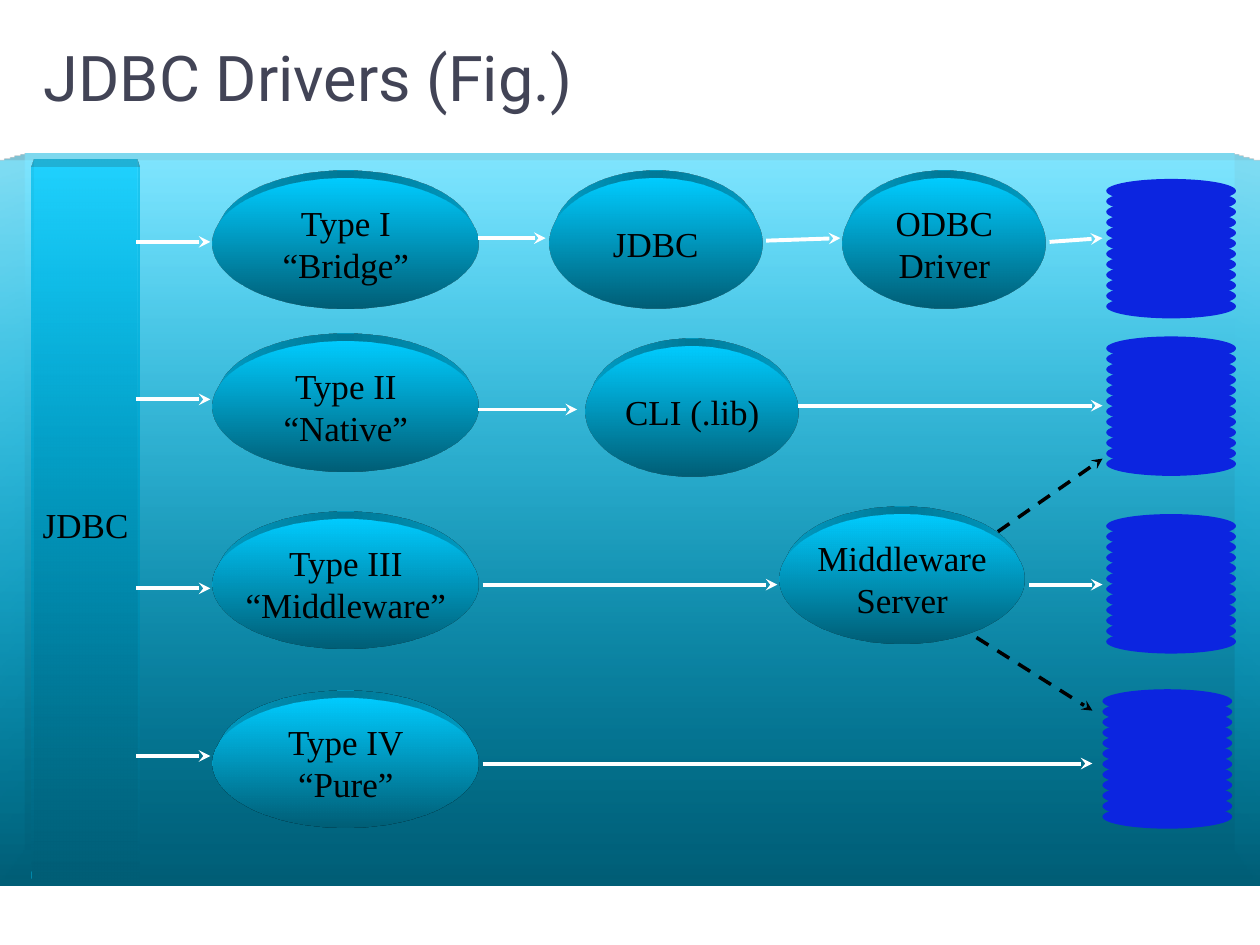
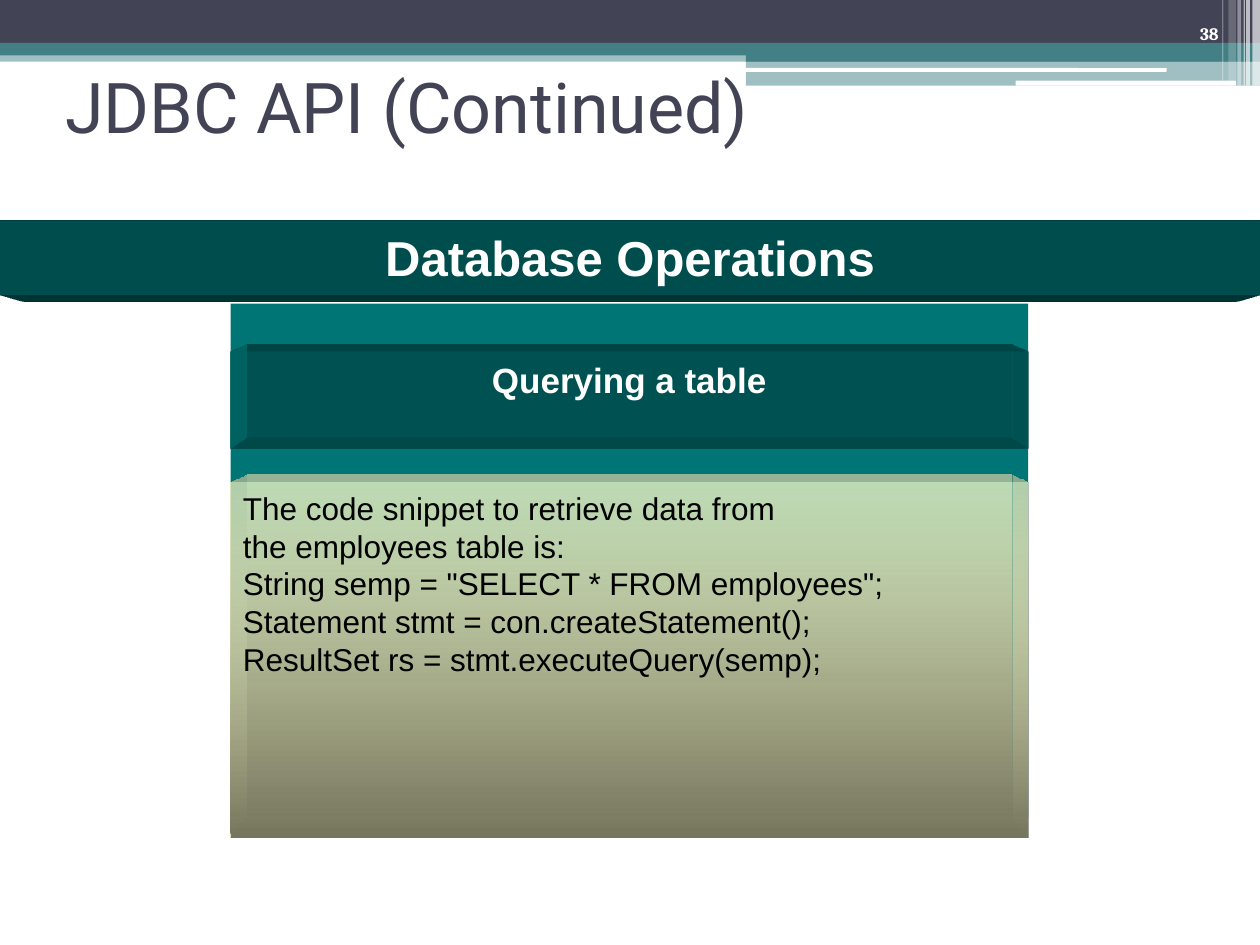
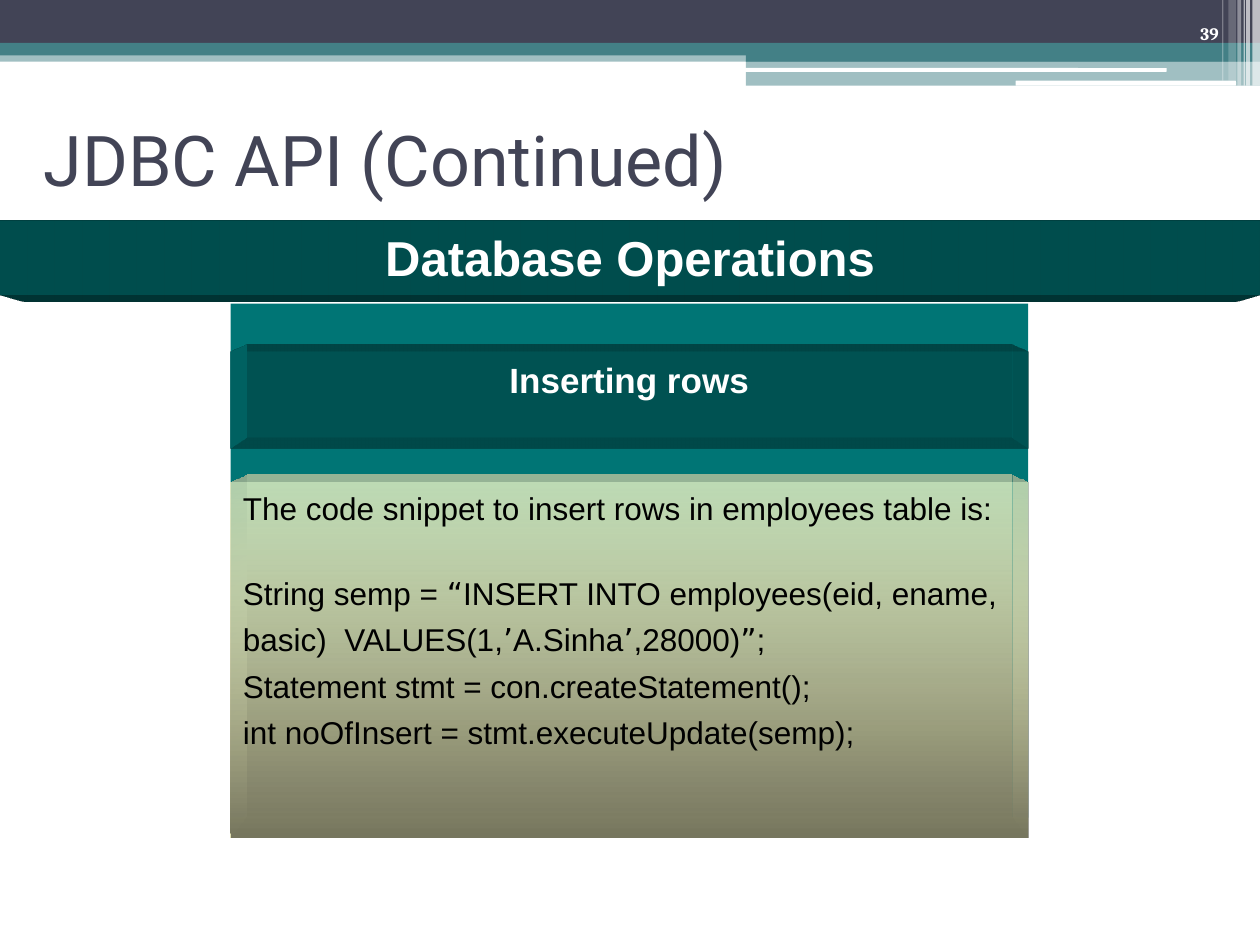
from itertools import groupby

from lxml.etree import SubElement as Sub
from pptx import Presentation
from pptx.dml.color import RGBColor
from pptx.enum.dml import MSO_LINE as Dash
from pptx.enum.shapes import MSO_CONNECTOR as Link, MSO_SHAPE as Kind
from pptx.enum.text import MSO_ANCHOR as Anchor, PP_ALIGN as Align
from pptx.oxml import parse_xml
from pptx.oxml.ns import nsdecls, qn
from pptx.util import Inches, Pt

WIDTH, HEIGHT = Inches(10), Inches(7.5)
COL, ROW = WIDTH / 10, HEIGHT / 7.5
INK, TEAL, SEA, DEEP = "424456", "438086", "009999", "005E76"
SKY, DISC, WHITE, BLACK = "00CCFF", "0C25E0", "FFFFFF", "000000"
QUOTES = "\u201c\u201d\u2019"


def tint(text):
    """Turn a hex string into a colour."""
    return RGBColor.from_string(text)


def fade(node, share):
    """Give a colour node an opacity in percent."""
    if share < 100:
        Sub(node, qn("a:alpha"), val=str(share * 1000))


def paint(shape, hues, share=100):
    """Fill a shape with one hue, or with a pair from top to bottom."""
    fill = shape.fill
    if isinstance(hues, str):
        fill.solid()
        fill.fore_color.rgb = tint(hues)
    else:
        fill.gradient()
        fill.gradient_angle = 270
        for stop, hue, place in zip(fill.gradient_stops, hues, (0, 1)):
            stop.color.rgb = tint(hue)
            stop.position = place
    fade(next(shape._element.spPr.iter(qn("a:srgbClr"))), share)


def raise_up(shape, side, light, hue):
    """Extrude a shape toward one side."""
    spaces = nsdecls("a")
    props = shape._element.spPr
    props.append(parse_xml(
        f'<a:scene3d {spaces}><a:camera prst="legacyPerspective{side}"/>'
        f'<a:lightRig rig="{light}" dir="b"/></a:scene3d>'))
    props.append(parse_xml(
        f'<a:sp3d {spaces} extrusionH="430200" prstMaterial="legacyMatte">'
        '<a:bevelT w="13500" h="13500" prst="angle"/>'
        '<a:bevelB w="13500" h="13500" prst="angle"/>'
        f'<a:extrusionClr><a:srgbClr val="{hue}"/></a:extrusionClr></a:sp3d>'))


def form(slide, kind, place, hues, share=100):
    """Add a preset shape without outline or shadow."""
    x, y, w, h = place
    shape = slide.shapes.add_shape(
        kind, int(x * COL), int(y * ROW), int(w * COL), int(h * ROW))
    shape.shadow.inherit = False
    shape.line.fill.background()
    paint(shape, hues, share)
    return shape


def write(shape, lines, face, size, hue, align=Align.CENTER,
          anchor=Anchor.MIDDLE, bold=False, wrap=False, gaps=()):
    """Set lines of text, with quote marks in their own face if gaps are given."""
    frame = shape.text_frame
    frame.word_wrap, frame.vertical_anchor = wrap, anchor
    for i, line in enumerate(lines):
        para = frame.paragraphs[0] if i == 0 else frame.add_paragraph()
        para.alignment = align
        font = para.font
        font.name, font.size, font.bold = face, Pt(size), bold
        font.color.rgb = tint(hue)
        if gaps:
            para.space_before = Pt(gaps[i])
            for mark, part in groupby(line, lambda sign: sign in QUOTES):
                run = para.add_run()
                run.text = "".join(part)
                run.font.name = "DejaVu Sans" if mark else face
        else:
            para.add_run().text = line


def label(slide, place, text, *style, **more):
    """Add a text box with one line."""
    x, y, w, h = place
    box = slide.shapes.add_textbox(
        int(x * COL), int(y * ROW), int(w * COL), int(h * ROW))
    write(box, [text], *style, wrap=True, **more)


def title(slide, place, text, size):
    """Add the slide title."""
    label(slide, place, text, "Roboto", size, INK, align=Align.LEFT)


def arrow(slide, start, end, hue=WHITE, dashed=False):
    """Add a line with a stealth head."""
    (a, b), (c, d) = start, end
    line = slide.shapes.add_connector(
        Link.STRAIGHT, int(a * COL), int(b * ROW), int(c * COL), int(d * ROW))
    line.line.color.rgb = tint(hue)
    line.line.width = Pt(2 if dashed else 2.25)
    if dashed:
        line.line.dash_style = Dash.DASH
    Sub(line.line._get_or_add_ln(), qn("a:tailEnd"), type="stealth")
    Sub(line._element.spPr, qn("a:effectLst"))


def store(slide, x, top):
    """Stack twelve discs into a database."""
    for i in reversed(range(12)):
        form(slide, Kind.OVAL, (x, top + i / 12, 1.03, 0.19), DISC)


def node(slide, x, y, w, *lines):
    """Add a raised oval with a name."""
    oval = form(slide, Kind.OVAL, (x, y, w, 1.03), (SKY, DEEP))
    raise_up(oval, "Top", "legacyFlat3", SKY)
    write(oval, lines, "Times New Roman", 20, BLACK)


def drivers(slide):
    """Draw the figure of the four driver types."""
    title(slide, (0.25, 0.33, 9.02, 0.55), "JDBC Drivers (Fig.)", 36)
    back = form(slide, Kind.RECTANGLE, (0, 1.28, 10, 5.75), (SKY, DEEP), 30)
    side = form(slide, Kind.RECTANGLE, (0.25, 1.33, 0.86, 5.67), (SKY, DEEP), 50)
    for panel in (back, side):
        raise_up(panel, "Top", "legacyFlat3", SKY)
    write(side, ["JDBC"], "Times New Roman", 20, BLACK)
    for x, top in ((8.78, 1.42), (8.78, 2.67), (8.78, 4.08), (8.75, 5.47)):
        store(slide, x, top)
    kinds = (("I", "Bridge", 1.42, 1.92), ("II", "Native", 2.71, 3.17),
             ("III", "Middleware", 4.12, 4.67), ("IV", "Pure", 5.54, 6))
    for count, name, top, level in kinds:
        node(slide, 1.69, top, 2.11, f"Type {count}", f"\u201c{name}\u201d")
        arrow(slide, (1.08, level), (1.67, level))
    node(slide, 4.36, 1.42, 1.69, "JDBC")
    node(slide, 6.69, 1.42, 1.61, "ODBC", "Driver")
    node(slide, 4.65, 2.75, 1.69, "CLI (.lib)")
    node(slide, 6.19, 4.08, 1.94, "Middleware", "Server")
    for x, end, level in ((3.79, 4.33, 1.89), (3.79, 4.58, 3.25),
                          (6.33, 8.75, 3.22), (3.83, 6.17, 4.64),
                          (8.17, 8.75, 4.64), (3.83, 8.67, 6.06)):
        arrow(slide, (x, level), (end, level))
    arrow(slide, (6.08, 1.91), (6.67, 1.89))
    arrow(slide, (8.33, 1.92), (8.75, 1.89))
    arrow(slide, (7.92, 4.22), (8.75, 3.64), BLACK, True)
    arrow(slide, (7.75, 5.06), (8.67, 5.64), BLACK, True)


def header(slide, number):
    """Draw the shared top bands, stripes and slide number."""
    bands = ((0, 0.4, 10, 0.09, TEAL, 50), (0, 0, 10, 0.34, INK, 100),
             (0, 0.34, 10, 0.1, TEAL, 100), (5.92, 0.39, 4.08, 0.1, TEAL, 100),
             (5.92, 0.48, 4.08, 0.2, TEAL, 50))
    for *place, hue, share in bands:
        form(slide, Kind.RECTANGLE, place, hue, share)
    for place in ((5.91, 0.54, 3.35, 0.03), (8.06, 0.64, 1.75, 0.04)):
        form(slide, Kind.ROUNDED_RECTANGLE, place, WHITE)
    for x, w, h, share in ((9.94, 0.06, 0.68, 65), (9.89, 0.03, 0.68, 65),
                           (9.87, 0.01, 0.68, 60), (9.82, 0.03, 0.68, 40),
                           (9.75, 0.06, 0.64, 20), (9.7, 0.01, 0.64, 30)):
        form(slide, Kind.RECTANGLE, (x, 0, w, h), WHITE, share)
    label(slide, (8.94, 0, 0.83, 0.4), number, "Cambria", 10, WHITE,
          align=Align.RIGHT, anchor=Anchor.BOTTOM, bold=True)


def lesson(slide, number, spot, topic, lines, gaps=()):
    """Draw a slide with a topic and its code."""
    header(slide, number)
    title(slide, (*spot, 9, 1.17), "JDBC API (Continued)", 40)
    band = form(slide, Kind.RECTANGLE, (0, 1.75, 10, 0.58), SEA)
    raise_up(band, "Bottom", "legacyNormal3", SEA)
    write(band, ["Database Operations"], "Arial", 28, WHITE, bold=True)
    form(slide, Kind.RECTANGLE, (1.83, 2.41, 6.33, 4.08), "007575")
    head = form(slide, Kind.RECTANGLE, (1.83, 2.8, 6.33, 0.76), SEA, 60)
    raise_up(head, "Top", "legacyNormal3", SEA)
    write(head, [topic], "Arial", 20, WHITE, anchor=Anchor.TOP, bold=True)
    body = form(slide, Kind.RECTANGLE, (1.83, 3.83, 6.33, 2.82),
                ("FFFFCC", "76765E"), 50)
    raise_up(body, "Top", "legacyFlat3", "FFFFCC")
    write(body, lines, "Arial", 18, BLACK, Align.LEFT, Anchor.TOP,
          wrap=True, gaps=gaps)


def main():
    """Build the three slides."""
    deck = Presentation()
    deck.slide_width, deck.slide_height = WIDTH, HEIGHT
    first, second, third = (
        deck.slides.add_slide(deck.slide_layouts[6]) for _ in range(3))
    drivers(first)
    lesson(second, "38", (0.42, 0.25), "Querying a table", [
        "The code snippet to retrieve data from",
        "the employees table is:",
        'String semp = "SELECT * FROM employees";',
        "Statement stmt = con.createStatement();",
        "ResultSet rs = stmt.executeQuery(semp);"])
    lesson(third, "39", (0.25, 0.67), "Inserting rows", [
        "The code snippet to insert rows in employees table is:",
        "String semp = \u201cINSERT INTO employees(eid, ename,",
        "basic)  VALUES(1,\u2019A.Sinha\u2019,28000)\u201d;",
        "Statement stmt = con.createStatement();",
        "int noOfInsert = stmt.executeUpdate(semp);"], (0, 27, 5, 5, 5))
    deck.save("out.pptx")


main()
